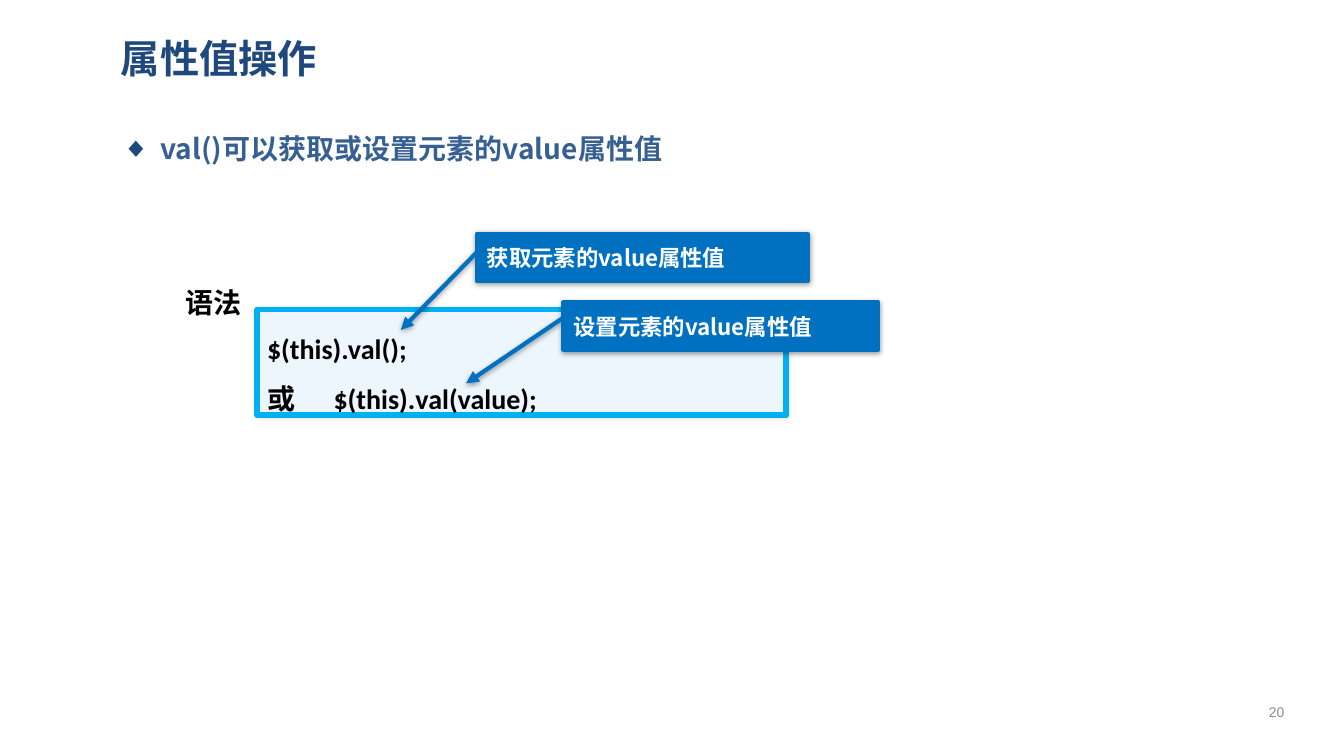
from dataclasses import dataclass

from lxml import etree
from pptx import Presentation, util as u
from pptx.dml.color import RGBColor
from pptx.enum import shapes, text
from pptx.oxml.ns import nsdecls, qn

WIDE, HIGH = u.Inches(13.333), u.Inches(7.5)
SANS = "Noto Sans CJK SC"
MID, TOP = text.MSO_ANCHOR.MIDDLE, text.MSO_ANCHOR.TOP
Box = tuple[float, float, float, float]


@dataclass
class Style:
    size: float
    ink: str
    face: str = SANS
    bold: bool = True
    align: text.PP_ALIGN = text.PP_ALIGN.LEFT
    space: float = 1


@dataclass
class Note:
    """A callout; tip and root are (y, x) shares of its box."""
    words: str
    box: Box
    tip: tuple[float, float]
    root: tuple[float, float]


NOTES = [
    Note("获取元素的value属性值", (35.48, 30.93, 24.6, 6.27), (2.03, -0.23), (0.39, 0)),
    Note("设置元素的value属性值", (41.93, 40, 23.4, 6.27), (1.71, -0.31), (0.32, 0)),
]


def color(code: str) -> RGBColor:
    return RGBColor.from_string(code)


def place(box: Box) -> tuple[int, int, int, int]:
    """Turn percent of the slide's size into lengths."""
    return tuple(int(part * side / 100) for part, side in zip(box, (WIDE, HIGH) * 2))


def node(xml: str):
    head, tail = xml.split(">", 1) if not xml.endswith("/>") else (xml[:-2], "")
    return etree.fromstring(f"{head} {nsdecls('a')}{'>' + tail if tail else '/>'}")


def shade(alpha: int, blur: float, dist: float, turn: int):
    return node(
        f'<a:effectLst><a:outerShdw blurRad="{u.Pt(blur)}" dist="{u.Pt(dist)}" '
        f'dir="{turn * 60000}" algn="ctr" rotWithShape="0"><a:srgbClr val="000000">'
        f'<a:alpha val="{alpha * 1000}"/></a:srgbClr></a:outerShdw></a:effectLst>')


def write(shape, lines: list[str], style: Style, anchor=TOP, wrap: bool = True,
          extras: tuple[str, ...] = ()) -> None:
    """Fill a shape with styled lines; extras are bullet or tab elements."""
    frame = shape.text_frame
    frame.text = "\n".join(lines)
    frame.word_wrap = wrap
    frame.auto_size = text.MSO_AUTO_SIZE.NONE
    frame.vertical_anchor = anchor
    for para in frame.paragraphs:
        props = para._p.get_or_add_pPr()
        for extra in extras:
            props.append(node(extra))
        para.alignment, para.line_spacing = style.align, style.space
        para.space_before = u.Pt(0)
        font = para.font
        font.size, font.bold, font.name = u.Pt(style.size), style.bold, style.face
        font.color.rgb = color(style.ink)
        east = SANS if style.face == "Calibri" else style.face
        props.find(qn("a:defRPr")).append(node(f'<a:ea typeface="{east}"/>'))


def panel(slide, kind, box: Box, fill: str, edge: str, width: float):
    shape = slide.shapes.add_shape(kind, *place(box))
    shape.shadow.inherit = False
    shape.fill.solid()
    shape.fill.fore_color.rgb = color(fill)
    shape.line.color.rgb = color(edge)
    shape.line.width = u.Pt(width)
    return shape


def cast(shape, *glow: float) -> None:
    props = shape._element.spPr
    props.replace(props.find(qn("a:effectLst")), shade(*glow))


def callout(slide, note: Note) -> None:
    shape = panel(slide, shapes.MSO_SHAPE.LINE_CALLOUT_1, note.box, "0070C0", "0070C0", 3)
    for spot, share in enumerate(note.tip + note.root):
        shape.adjustments[spot] = share
    shape._element.spPr.find(qn("a:ln")).append(node('<a:headEnd type="triangle"/>'))
    cast(shape, 40, 4, 1, 90)
    write(shape, [note.words], Style(16, "FFFFFF"), MID)


def label(slide, words: str, box: Box, style: Style, wrap: bool = True):
    shape = slide.shapes.add_textbox(*place(box))
    write(shape, [words], style, MID, wrap)
    return shape


def main() -> None:
    deck = Presentation()
    deck.slide_width, deck.slide_height = WIDE, HIGH
    slide = deck.slides.add_slide(deck.slide_layouts[1])

    title, body = slide.shapes.title, slide.placeholders[1]
    title.left, title.top, title.width, title.height = place((8.25, 3.2, 87.38, 8.93))
    write(title, ["属性值操作"], Style(28, "1F497D"), MID)

    body.left, body.top, body.width, body.height = place((8.32, 15.87, 87.38, 75.73))
    write(body, ["val()可以获取或设置元素的value属性值"], Style(20, "376092", space=1.2),
          extras=('<a:buClr><a:srgbClr val="1F497D"/></a:buClr>', '<a:buChar char="◆"/>'))
    props = body.text_frame.paragraphs[0]._p.get_or_add_pPr()
    props.set("marL", str(u.Inches(0.38)))
    props.set("indent", str(u.Inches(-0.38)))

    label(slide, "20", (92.55, 91.47, 4.88, 5.33),
          Style(10, "8C8C8C", "Arial", False, text.PP_ALIGN.CENTER))

    code = panel(slide, shapes.MSO_SHAPE.RECTANGLE, (19.13, 40.93, 39.38, 14),
                 "EDF5FD", "00B0F0", 4)
    cast(code, 10, 3, 0, 0)
    stop = f'<a:tabLst><a:tab pos="{u.Inches(0.66)}" algn="l"/></a:tabLst>'
    write(code, ["$(this).val();", "或\t$(this).val(value);"],
          Style(20, "000000", "Calibri", space=1.5), extras=(stop,))

    for note in NOTES:
        callout(slide, note)

    syntax = label(slide, "语法", (13.05, 37.07, 5.78, 5.87), Style(20, "000000"), False)
    face = syntax.text_frame.paragraphs[0]._p.pPr.find(qn("a:defRPr")).find(qn("a:latin"))
    face.addprevious(shade(40, 3, 2, 45))

    deck.save("out.pptx")


if __name__ == "__main__":
    main()
